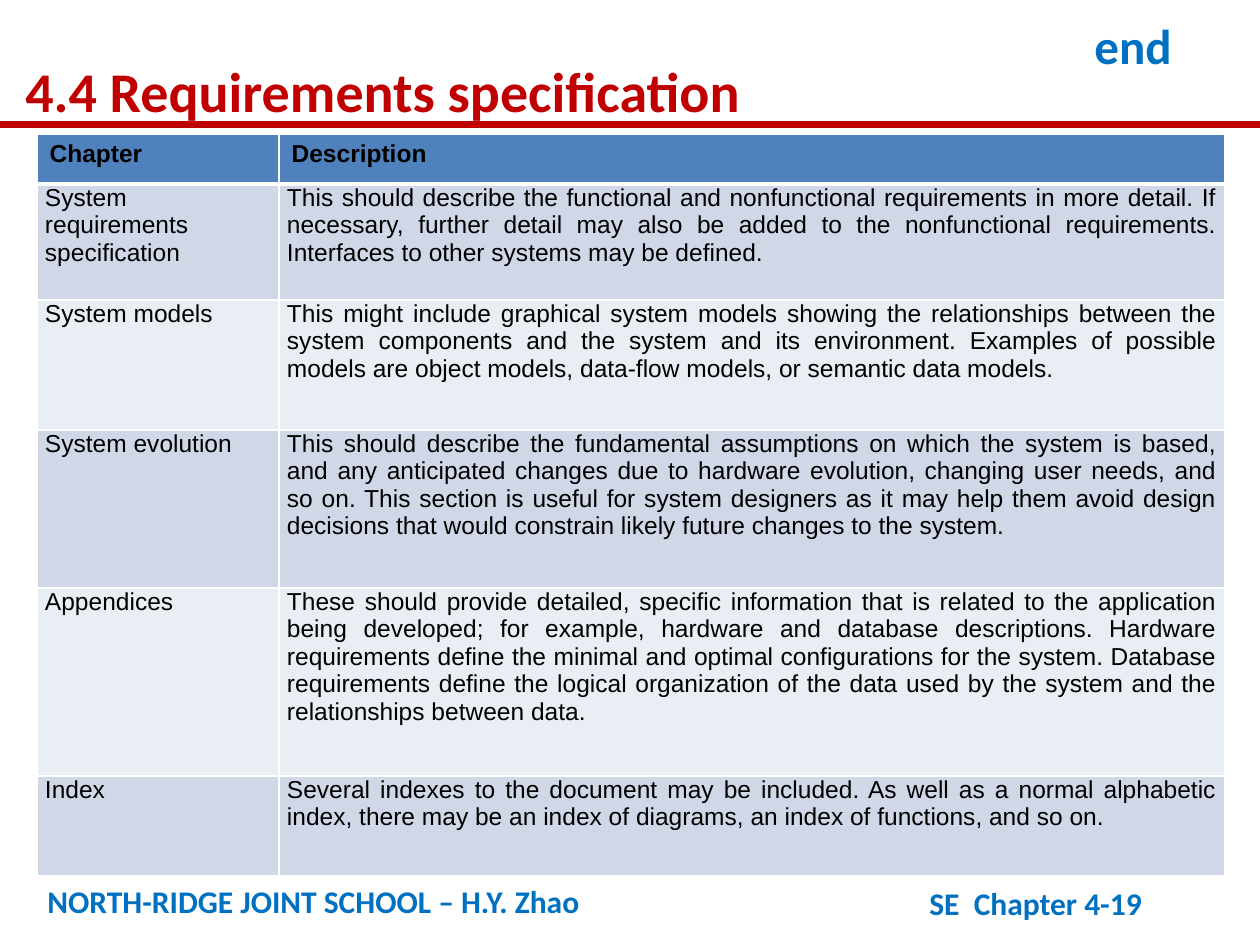
"""Build the requirements specification slide with its chapter table."""
from dataclasses import dataclass
from typing import Any

from lxml.etree import SubElement
from pptx import Presentation
from pptx.dml.color import RGBColor
from pptx.enum.shapes import MSO_CONNECTOR
from pptx.enum.text import MSO_AUTO_SIZE, PP_ALIGN
from pptx.oxml.ns import qn
from pptx.util import Emu, Pt


@dataclass(frozen=True)
class Theme:
    red: str = "C00000"
    blue: str = "0070C0"
    black: str = "000000"
    grid: str = "FFFFFF"
    header: str = "4F81BD"
    bands: tuple[str, str] = ("D0D8E8", "E9EDF4")
    heading_font: str = "Calibri"
    table_font: str = "Arial"
    title_size: int = 32
    end_size: int = 28
    footer_size: int = 18
    table_size: int = 14
    rule_width: int = 4
    grid_width: int = 1
    header_line_width: int = 3


@dataclass(frozen=True)
class Label:
    text: str
    left: int
    top: int
    width: int
    height: int
    size: int
    color: str
    line_spacing: float = 1.0
    grows: bool = False


@dataclass(frozen=True)
class Chapter:
    name: str
    description: str
    height: int


THEME = Theme()
EMU_PER_PX = 914400 / 126
SLIDE_WIDTH, SLIDE_HEIGHT = 1260, 945
RULE_TOP = 125
TABLE_LEFT, TABLE_TOP = 37, 134
COLUMN_WIDTHS = (242, 946)

LABELS = (
    Label("NORTH-RIDGE JOINT SCHOOL – H.Y. Zhao", 35, 876, 795, 50, THEME.footer_size, THEME.blue),
    Label("SE  Chapter 4-19", 917, 878, 329, 50, THEME.footer_size, THEME.blue),
    Label("4.4 Requirements specification", 13, 37, 816, 88, THEME.title_size, THEME.red, 1.2, True),
    Label("end", 1082, 9, 170, 72, THEME.end_size, THEME.blue, grows=True),
)

CHAPTERS = (
    Chapter("Chapter", "Description", 50),
    Chapter(
        "System requirements specification",
        "This should describe the functional and nonfunctional requirements in more detail. "
        "If necessary, further detail may also be added to the nonfunctional requirements. "
        "Interfaces to other systems may be defined.",
        116,
    ),
    Chapter(
        "System models",
        "This might include graphical system models showing the relationships between the "
        "system components and the system and its environment. Examples of possible models "
        "are object models, data-flow models, or semantic data models.",
        130,
    ),
    Chapter(
        "System evolution",
        "This should describe the fundamental assumptions on which the system is based, and "
        "any anticipated changes due to hardware evolution, changing user needs, and so on. "
        "This section is useful for system designers as it may help them avoid design "
        "decisions that would constrain likely future changes to the system.",
        158,
    ),
    Chapter(
        "Appendices",
        "These should provide detailed, specific information that is related to the "
        "application being developed; for example, hardware and database descriptions. "
        "Hardware requirements define the minimal and optimal configurations for the system. "
        "Database requirements define the logical organization of the data used by the "
        "system and the relationships between data.",
        188,
    ),
    Chapter(
        "Index",
        "Several indexes to the document may be included. As well as a normal alphabetic "
        "index, there may be an index of diagrams, an index of functions, and so on.",
        100,
    ),
)


def px(length: int) -> Emu:
    """Convert pixels to EMU."""
    return Emu(round(length * EMU_PER_PX))


def apply(target: Any, values: dict[str, Any]) -> None:
    """Set each named attribute on the target."""
    for name, value in values.items():
        setattr(target, name, value)


def write(paragraph: Any, text: str, color: str, font: dict[str, Any]) -> None:
    """Add one formatted run to a paragraph."""
    run = paragraph.add_run()
    run.text = text
    apply(run.font, font)
    run.font.color.rgb = RGBColor.from_string(color)


def draw_rule(slide: Any) -> None:
    """Draw the red rule under the title."""
    rule = slide.shapes.add_connector(
        MSO_CONNECTOR.STRAIGHT, 0, px(RULE_TOP), px(SLIDE_WIDTH), px(RULE_TOP)
    )
    rule.line.color.rgb = RGBColor.from_string(THEME.red)
    rule.line.width = Pt(THEME.rule_width)
    SubElement(rule._element.spPr, qn("a:effectLst"))


def draw_label(slide: Any, label: Label) -> None:
    """Draw a bold heading or footer label."""
    bounds = (label.left, label.top, label.width, label.height)
    frame = slide.shapes.add_textbox(*map(px, bounds)).text_frame
    sizing = MSO_AUTO_SIZE.SHAPE_TO_FIT_TEXT if label.grows else MSO_AUTO_SIZE.NONE
    apply(frame, {"word_wrap": True, "auto_size": sizing})
    paragraph = frame.paragraphs[0]
    paragraph.line_spacing = label.line_spacing
    font = {"name": THEME.heading_font, "size": Pt(label.size), "bold": True}
    write(paragraph, label.text, label.color, font)


def draw_borders(cell: Any, widths: dict[str, int]) -> None:
    """Add a white line on each side of a cell."""
    properties = cell._tc.get_or_add_tcPr()
    for side, width in widths.items():
        line = SubElement(properties, qn(f"a:ln{side}"), w=str(Pt(width)))
        SubElement(SubElement(line, qn("a:solidFill")), qn("a:srgbClr"), val=THEME.grid)


def draw_cell(cell: Any, text: str, row: int) -> None:
    """Format and fill one table cell."""
    is_header = row == 0
    thin, thick = THEME.grid_width, THEME.header_line_width
    top = thick if row == 1 else thin
    bottom = thick if is_header else thin
    draw_borders(cell, {"L": thin, "R": thin, "T": top, "B": bottom})
    cell.fill.solid()
    fill = THEME.header if is_header else THEME.bands[(row - 1) % 2]
    cell.fill.fore_color.rgb = RGBColor.from_string(fill)
    paragraph = cell.text_frame.paragraphs[0]
    if not is_header:
        paragraph.alignment = PP_ALIGN.JUSTIFY
        margins = {"left": 8, "top": 0, "right": 8, "bottom": 13}
        apply(cell, {f"margin_{side}": px(gap) for side, gap in margins.items()})
    font = {"name": THEME.table_font, "size": Pt(THEME.table_size), "bold": is_header}
    write(paragraph, text, THEME.black, font)


def draw_chapters(slide: Any, chapters: tuple[Chapter, ...]) -> None:
    """Draw the table of chapters and descriptions."""
    height = sum(chapter.height for chapter in chapters)
    bounds = (TABLE_LEFT, TABLE_TOP, sum(COLUMN_WIDTHS), height)
    table = slide.shapes.add_table(len(chapters), len(COLUMN_WIDTHS), *map(px, bounds)).table
    apply(table, {"first_row": True, "horz_banding": False})
    for column, width in zip(table.columns, COLUMN_WIDTHS):
        column.width = px(width)
    for row, chapter in enumerate(chapters):
        table.rows[row].height = px(chapter.height)
        for column, text in enumerate((chapter.name, chapter.description)):
            draw_cell(table.cell(row, column), text, row)


def main() -> None:
    """Build and save the slide."""
    deck = Presentation()
    apply(deck, {"slide_width": px(SLIDE_WIDTH), "slide_height": px(SLIDE_HEIGHT)})
    slide = deck.slides.add_slide(deck.slide_layouts[6])
    draw_rule(slide)
    for label in LABELS:
        draw_label(slide, label)
    draw_chapters(slide, CHAPTERS)
    deck.save("out.pptx")


if __name__ == "__main__":
    main()
